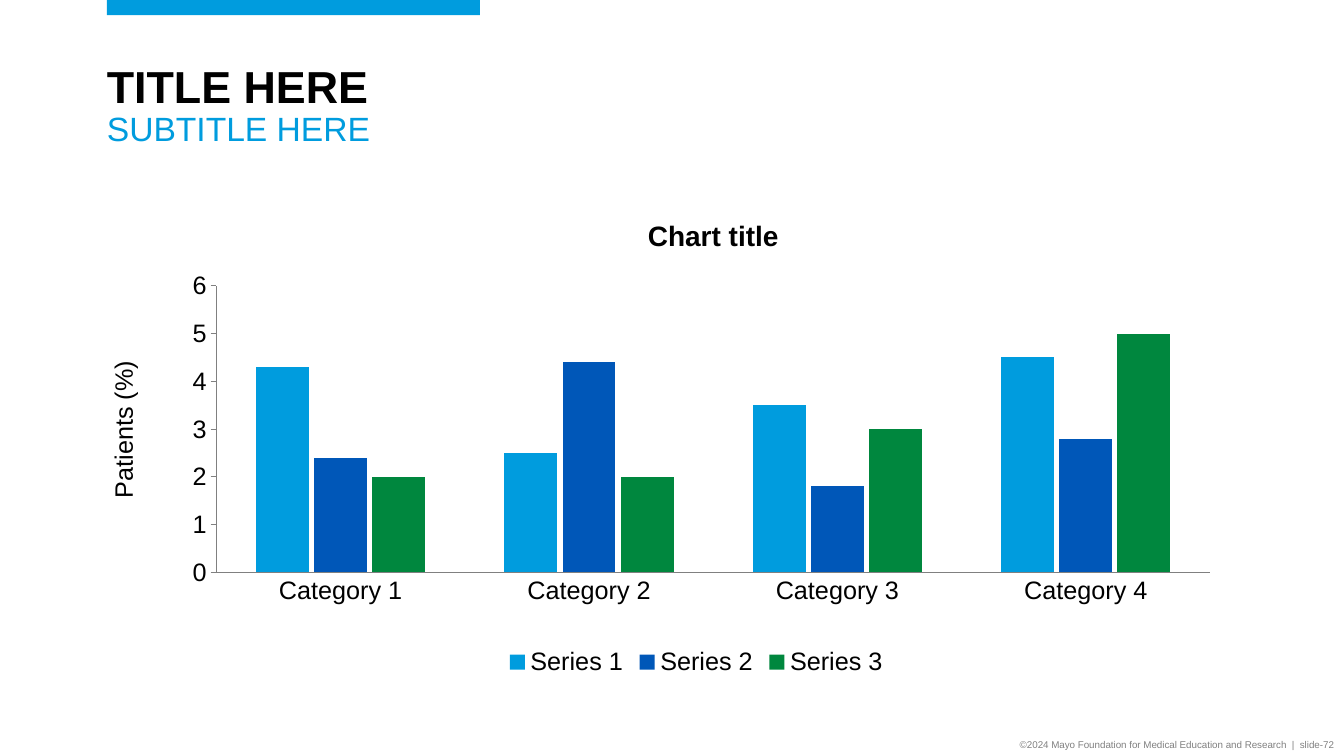
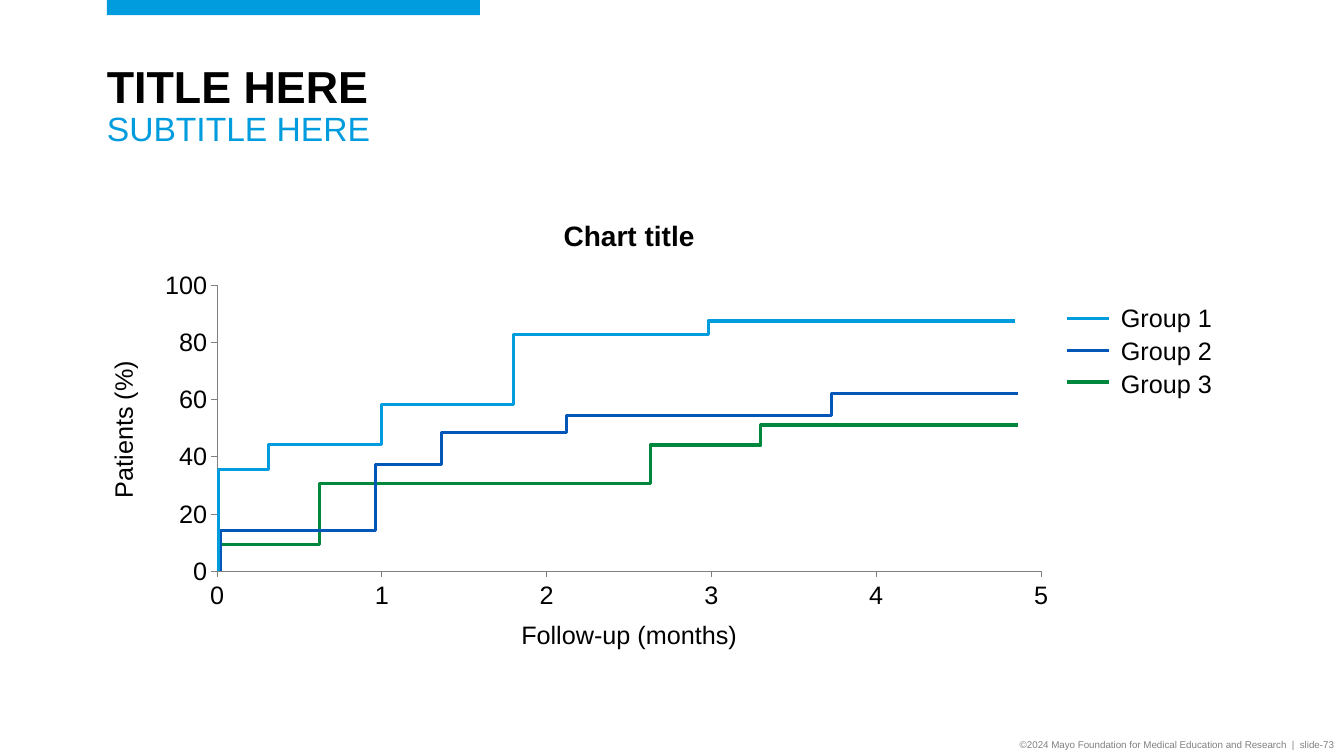
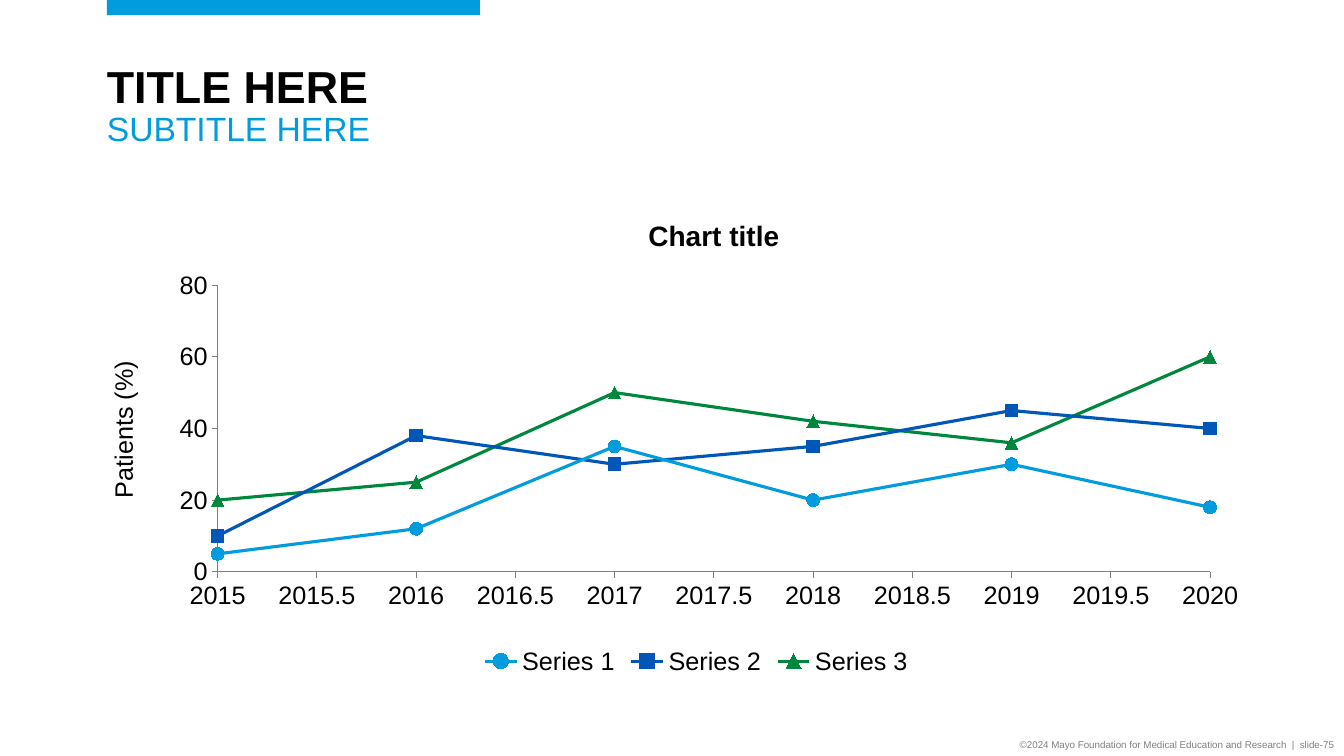
from dataclasses import dataclass

from pptx import Presentation
from pptx import util as u
from pptx.chart.data import CategoryChartData, XyChartData
from pptx.dml.color import RGBColor
from pptx.enum import chart as ch, shapes, text
from pptx.oxml import parse_xml
from pptx.oxml.ns import nsdecls, qn


@dataclass(frozen=True)
class Theme:
    font: str = "Arial"
    ink: RGBColor = RGBColor.from_string("000000")
    grey: RGBColor = RGBColor.from_string("808080")
    accents: tuple = tuple(map(RGBColor.from_string, ("009CDE", "0057B8", "00873E")))
    title: int = 32
    subtitle: int = 24
    chart_title: int = 20
    body: int = 18
    footer: int = 7
    axis_line: float = 0.75
    data_line: float = 2.25


THEME = Theme()
LEFT, CENTER, RIGHT = text.PP_ALIGN.LEFT, text.PP_ALIGN.CENTER, text.PP_ALIGN.RIGHT

prs = Presentation()
prs.slide_width, prs.slide_height = u.Inches(13.33), u.Inches(7.5)
COL, ROW = prs.slide_width / 100, prs.slide_height / 100  # a grid of 100 by 100
MARGIN, CHART_TOP = 7.95, 28.93


def grid(left, top, width, height):
    """Turn grid columns and rows into slide lengths."""
    return [round(n) for n in (left * COL, top * ROW, width * COL, height * ROW)]


def add_label(parent, box, lines, size=THEME.body, align=CENTER, color=THEME.ink, bold=False):
    label = parent.add_textbox(*grid(*box))
    frame = label.text_frame
    frame.word_wrap = True
    frame.margin_left = frame.margin_right = frame.margin_top = frame.margin_bottom = 0
    for row, line in enumerate(lines):
        para = frame.paragraphs[0] if row == 0 else frame.add_paragraph()
        para.alignment = align
        run = para.add_run()
        run.text = line
        run.font.name, run.font.size, run.font.bold = THEME.font, u.Pt(size), bold
        run.font.color.rgb = color
    return label


# Shared title style
layout = prs.slide_layouts[5]
title_level = prs.slide_master.element.find(f".//{qn('p:titleStyle')}/{qn('a:lvl1pPr')}")
title_level.set("algn", "l")
title_font = title_level.find(qn("a:defRPr"))
title_font.set("sz", str(THEME.title * 100))
title_font.find(qn("a:latin")).set("typeface", THEME.font)

# Chart data
bars = CategoryChartData()
bars.categories = [f"Category {n}" for n in range(1, 5)]
for n, values in enumerate([(4.3, 2.5, 3.5, 4.5), (2.4, 4.4, 1.8, 2.8), (2, 2, 3, 5)], 1):
    bars.add_series(f"Series {n}", values)

origin = XyChartData()
origin_points = origin.add_series("Series 1")
for _ in range(3):
    origin_points.add_data_point(0, 0)

trends = XyChartData()
for n, values in enumerate([(5, 12, 35, 20, 30, 18), (10, 38, 30, 35, 45, 40),
                            (20, 25, 50, 42, 36, 60)], 1):
    trend = trends.add_series(f"Series {n}")
    for year, value in enumerate(values, 2015):
        trend.add_data_point(year, value)

# Each step is (month, percent reached); the last month ends the curve
MONTHS, PERCENT = 5, 100
CURVES = [
    ([(0.01, 35.7), (0.31, 44.5), (1, 58.3), (1.8, 83), (2.98, 87.6)], 4.84),
    ([(0.02, 14.4), (0.96, 37.5), (1.36, 48.4), (2.12, 54.4), (3.73, 62.2)], 4.86),
    ([(0.02, 9.5), (0.62, 30.7), (2.63, 44.2), (3.3, 51.2)], 4.86),
]
MARKERS = [ch.XL_MARKER_STYLE.CIRCLE, ch.XL_MARKER_STYLE.SQUARE, ch.XL_MARKER_STYLE.TRIANGLE]
KIND = ch.XL_CHART_TYPE

# number, chart type, data, chart columns and rows, plot shares, x scale, y scale
SLIDES = [
    (72, KIND.COLUMN_CLUSTERED, bars, 87.7, 61.2, (0.093, 0.145, 0.843, 0.62),
     None, (0, 6, 1)),
    (73, KIND.XY_SCATTER, origin, 82.07, 58.53, (0.1, 0.151, 0.747, 0.646),
     (0, MONTHS, 1), (0, PERCENT, 20)),
    (75, KIND.XY_SCATTER_LINES, trends, 87.7, 61.07, (0.094, 0.144, 0.842, 0.621),
     (2015, 2020, 0.5), (0, 80, 20)),
]

for number, kind, data, columns, rows, plot_shares, x_scale, y_scale in SLIDES:
    slide = prs.slides.add_slide(layout)
    add_label(slide.shapes, (55, 97.07, 44.25, 2.93),
              [f"©2024 Mayo Foundation for Medical Education and Research  |  slide-{number}"],
              THEME.footer, RIGHT, THEME.grey).text_frame.vertical_anchor = text.MSO_ANCHOR.MIDDLE

    band = slide.shapes.add_shape(shapes.MSO_SHAPE.RECTANGLE, *grid(MARGIN, 0, 27.75, 2))
    band.shadow.inherit = False
    band.fill.solid()
    band.fill.fore_color.rgb = THEME.accents[0]
    band.line.fill.background()

    title = slide.shapes.title
    title.left, title.top, title.width, title.height = grid(MARGIN, 7.87, 82, 8.53)
    heading = title.text_frame
    heading.margin_left = heading.margin_right = 0
    heading.vertical_anchor = text.MSO_ANCHOR.TOP
    heading.auto_size = text.MSO_AUTO_SIZE.NONE
    para = heading.paragraphs[0]
    para.line_spacing = 0.9
    for words, size, color, bold in [("TITLE HERE", THEME.title, THEME.ink, True),
                                     ("SUBTITLE HERE", THEME.subtitle, THEME.accents[0], False)]:
        if para.runs:
            para.add_line_break()
        run = para.add_run()
        run.text = words
        run.font.name, run.font.size, run.font.bold = THEME.font, u.Pt(size), bold
        run.font.color.rgb = color

    # Chart frame, plot area and axes
    chart = slide.shapes.add_chart(kind, *grid(MARGIN, CHART_TOP, columns, rows), data).chart
    chart.has_title = False
    chart.font.name, chart.font.size = THEME.font, u.Pt(THEME.body)
    chart.font.color.rgb = THEME.ink
    chart.has_legend = kind != KIND.XY_SCATTER
    if chart.has_legend:
        chart.legend.position = ch.XL_LEGEND_POSITION.BOTTOM
        chart.legend.include_in_layout = False
        chart.legend.font.size = u.Pt(THEME.body)

    plot_area = chart.plots[0]._element.getparent()
    for automatic in plot_area.findall(qn("c:layout")):
        plot_area.remove(automatic)
    shares = "".join(f'<c:{tag} val="{share}"/>' for tag, share in zip("xywh", plot_shares))
    plot_area.insert(0, parse_xml(
        f'<c:layout {nsdecls("c")}><c:manualLayout><c:layoutTarget val="inner"/>'
        f'<c:xMode val="edge"/><c:yMode val="edge"/>{shares}</c:manualLayout></c:layout>'))

    for axis, scale in ((chart.category_axis, x_scale), (chart.value_axis, y_scale)):
        axis.has_major_gridlines = False
        axis.minor_tick_mark = ch.XL_TICK_MARK.NONE
        axis.major_tick_mark = ch.XL_TICK_MARK.OUTSIDE if scale else ch.XL_TICK_MARK.NONE
        axis.format.line.color.rgb = THEME.grey
        axis.format.line.width = u.Pt(THEME.axis_line)
        axis.tick_labels.number_format = "General"
        axis.tick_labels.number_format_is_linked = False
        if scale:
            axis.minimum_scale, axis.maximum_scale, axis.major_unit = scale

    # Series
    plot = chart.plots[0]
    plot.vary_by_categories = False
    if kind == KIND.COLUMN_CLUSTERED:
        plot.gap_width, plot.overlap = 150, -10
    for series, color, marker in zip(plot.series, THEME.accents, MARKERS):
        if kind == KIND.COLUMN_CLUSTERED:
            series.format.fill.solid()
            series.format.fill.fore_color.rgb = color
            continue
        series.smooth = False
        if kind == KIND.XY_SCATTER:
            series.marker.style = ch.XL_MARKER_STYLE.NONE
            continue
        series.format.line.color.rgb = color
        series.format.line.width = u.Pt(THEME.data_line)
        series.marker.style, series.marker.size = marker, 9
        series.marker.format.fill.solid()
        series.marker.format.fill.fore_color.rgb = color
        series.marker.format.line.color.rgb = color

    # Labels around the plot
    plot_x, plot_y, plot_w, plot_h = plot_shares
    plot_left, plot_width = MARGIN + columns * plot_x, columns * plot_w
    plot_top, plot_height = CHART_TOP + rows * plot_y, rows * plot_h
    label_left = plot_left + plot_width / 2 - 15
    add_label(slide.shapes, (label_left, CHART_TOP, 30, 4.5), ["Chart title"],
              THEME.chart_title, bold=True)
    add_label(slide.shapes, (3.22, 54.8, 11.85, 4), ["Patients (%)"]).rotation = 270

    if kind != KIND.XY_SCATTER:
        continue

    # Step curves over the scatter axes, with their key
    add_label(slide.shapes, (label_left, 81.87, 30, 4), ["Follow-up (months)"])
    for (steps, end), color in reversed(list(zip(CURVES, THEME.accents))):
        corners, level = [], 0
        for month, percent in steps:
            corners += [(month, level), (month, percent)]
            level = percent
        corners.append((end, level))
        points = [(round((plot_left + plot_width * month / MONTHS) * COL),
                   round((plot_top + plot_height * (1 - percent / PERCENT)) * ROW))
                  for month, percent in corners]
        outline = slide.shapes.build_freeform(*points[0])
        outline.add_line_segments(points[1:], close=False)
        curve = outline.convert_to_shape()
        curve.shadow.inherit = False
        curve.fill.background()
        curve.line.color.rgb = color
        curve.line.width = u.Pt(THEME.data_line)

    key = slide.shapes.add_group_shape().shapes
    names = add_label(key, (83.4, 40.8, 8, 12), ["Group 1", "Group 2", "Group 3"], align=LEFT)
    for row, (name, color) in enumerate(zip(names.text_frame.paragraphs, THEME.accents)):
        name.line_spacing = 0.8
        if row:
            name.space_before = u.Pt(6)
        x, y, length, _ = grid(79.42, 42.13 + 4.2 * row, 3.08, 0)
        sample = key.add_connector(shapes.MSO_CONNECTOR.STRAIGHT, x, y, x + length, y)
        sample.line.color.rgb = color
        sample.line.width = u.Pt(THEME.data_line)
        sample._element.spPr.append(parse_xml(f'<a:effectLst {nsdecls("a")}/>'))

prs.save("out.pptx")
